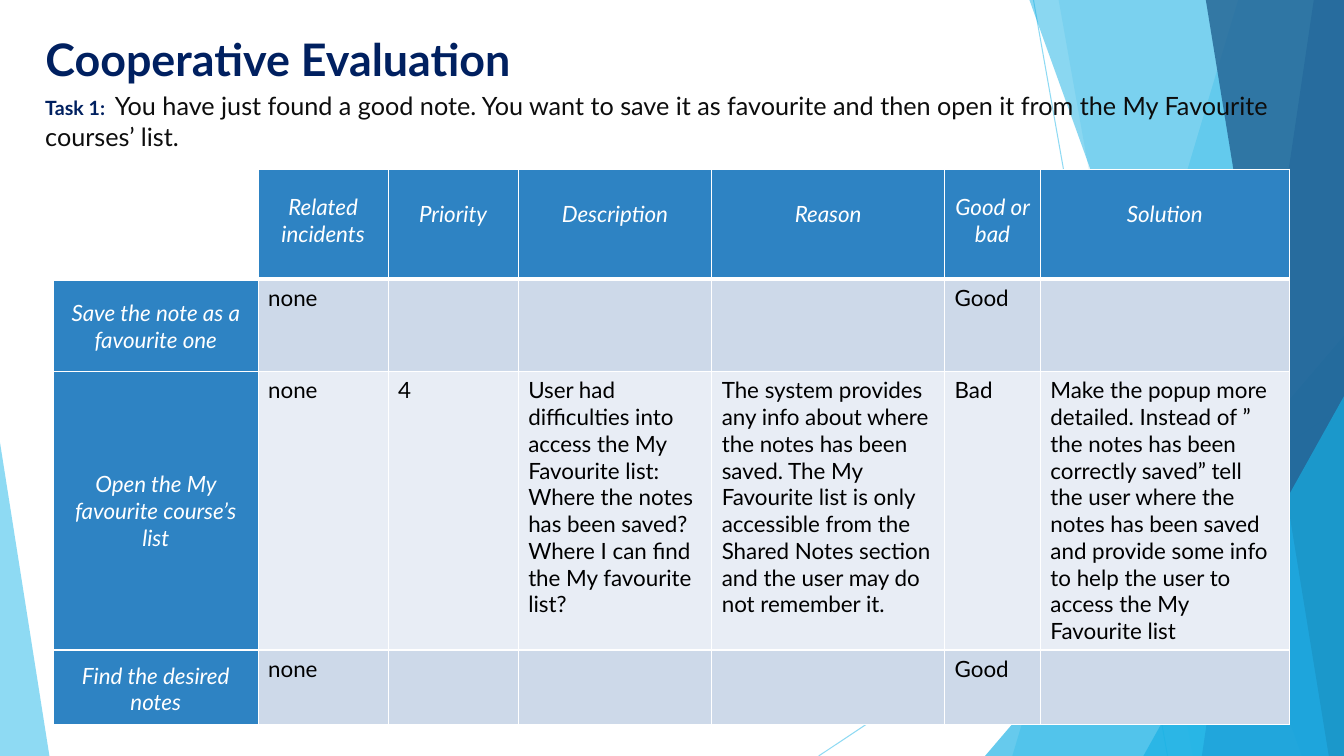
import pptx
import pptx.util
import pptx.dml.color
import pptx.enum.shapes
import pptx.enum.text
import pptx.oxml
import pptx.oxml.ns
from lxml import etree

Inches = pptx.util.Inches
Pt = pptx.util.Pt
RGBColor = pptx.dml.color.RGBColor
PP_ALIGN = pptx.enum.text.PP_ALIGN
qn = pptx.oxml.ns.qn

NAVY = RGBColor(0x00, 0x20, 0x60)
INK = RGBColor(0x0D, 0x0D, 0x0D)
BLACK = RGBColor(0x00, 0x00, 0x00)
WHITE = RGBColor(0xFF, 0xFF, 0xFF)
SKY = RGBColor(0x5F, 0xCB, 0xEF)
CYAN = RGBColor(0x17, 0xB0, 0xE4)
BLUE = RGBColor(0x2E, 0x83, 0xC3)
DEEP = RGBColor(0x22, 0x62, 0x92)
BAND_DARK = RGBColor(0xCD, 0xD9, 0xE9)
BAND_LIGHT = RGBColor(0xE8, 0xED, 0xF5)

FONT = "Lato"
WIDTH, HEIGHT = 13.33, 7.5

TITLE = "Cooperative Evaluation"
TASK = [
    ("Task 1:  ", {"size": Pt(14), "bold": True}, NAVY),
    ("You have just found a good note. You want to save it as favourite and then "
     "open it from the My Favourite courses’ list.", {"size": Pt(18), "bold": False}, INK),
]

ROWS = [
    ["", "Related incidents", "Priority", "Description", "Reason", "Good or bad", "Solution"],
    ["Save the note as a favourite one", "none", "", "", "", "Good", ""],
    ["Open the My favourite course’s list", "none", "4",
     "User had difficulties into access the My Favourite list: Where the notes has been "
     "saved? Where I can find the My favourite list?",
     "The system provides any info about where the notes has been saved. The My Favourite "
     "list is only accessible from the Shared Notes section and the user may do not remember it.",
     "Bad",
     "Make the popup more detailed. Instead of ” the notes has been correctly saved” tell "
     "the user where the notes has been saved and provide some info to help the user to "
     "access the My Favourite list"],
    ["Find the desired notes", "none", "", "", "", "Good", ""],
]
COL_WIDTHS = [2.03, 1.29, 1.29, 1.92, 2.31, 0.95, 2.47]
ROW_HEIGHTS = [1.09, 0.92, 2.76, 0.74]
HEADER_TOPS = [0.05, 0.24, 0.31, 0.31, 0.31, 0.24, 0.31]
LABEL_MARGINS = [(0.05, 0.05), (0.2, 0.05), (0.98, 0.05), (0.12, 0.08)]

RAYS = [((10.25, 0), (11.58, HEIGHT)), ((WIDTH, 4.03), (8.12, HEIGHT))]
FACETS = [
    ("band", (12.28, 10.04), SKY, 36),
    ("band", (10.5, 11.83), SKY, 20),
    ("triangle", (9.77, 3.33, 3.56, 4.17, 1), CYAN, 66),
    ("band", (10.21, 12.91), CYAN, 50),
    ("band", (13.03, 11.92), BLUE, 70),
    ("band", (11.96, 13.18), DEEP, 80),
    ("triangle", (11.34, 3.93, 1.99, 3.57, 1), CYAN, 66),
    ("triangle", (0, 4.39, 0.49, 3.11, 0), SKY, 70),
]


def set_alpha(shape, percent):
    color = shape._element.spPr.find(".//" + qn("a:srgbClr"))
    etree.SubElement(color, qn("a:alpha"), val=str(percent * 1000))


def add_ray(s, start, end):
    ray = s.shapes.add_connector(pptx.enum.shapes.MSO_CONNECTOR.STRAIGHT,
                                 *[Inches(v) for v in start + end])
    ray.line.color.rgb = SKY
    ray.line.width = Pt(0.75)
    set_alpha(ray, 70)
    etree.SubElement(ray._element.spPr, qn("a:effectLst"))


def add_facet(s, kind, geometry, color, alpha):
    if kind == "band":
        top, bottom = geometry
        builder = s.shapes.build_freeform(Inches(top), 0)
        corners = [(WIDTH, 0), (WIDTH, HEIGHT), (bottom, HEIGHT)]
        builder.add_line_segments([(Inches(x), Inches(y)) for x, y in corners])
        sp = builder.convert_to_shape()
    else:
        *box, apex = geometry
        sp = s.shapes.add_shape(pptx.enum.shapes.MSO_SHAPE.ISOSCELES_TRIANGLE,
                                *[Inches(v) for v in box])
        sp.adjustments[0] = apex
    sp.shadow.inherit = False
    sp.fill.solid()
    sp.fill.fore_color.rgb = color
    sp.line.fill.background()
    set_alpha(sp, alpha)


def add_run(p, text, formats, color):
    r = p.add_run()
    r.text = text
    for name, value in {"name": FONT, **formats}.items():
        setattr(r.font, name, value)
    r.font.color.rgb = color


def set_borders(cell, widths):
    tcPr = cell._tc.get_or_add_tcPr()
    for side, width in widths.items():
        ln = etree.SubElement(tcPr, qn("a:ln" + side), w=str(Pt(width)))
        fill = etree.SubElement(ln, qn("a:solidFill"))
        etree.SubElement(fill, qn("a:srgbClr"), val=str(WHITE))


def fill_cell(cell, text, row, col):
    set_borders(cell, {"L": 1, "R": 1, "T": 3 if row == 1 else 1, "B": 3 if row == 0 else 1})
    heading = row == 0 or col == 0
    if row == col == 0:
        cell.fill.background()
    else:
        cell.fill.solid()
        band = BAND_DARK if row % 2 else BAND_LIGHT
        cell.fill.fore_color.rgb = BLUE if heading else band
    if row == 0:
        top, bottom = HEADER_TOPS[col], 0.31
    else:
        top, bottom = LABEL_MARGINS[row] if col == 0 else (0.05, 0.05)
    cell.margin_top, cell.margin_bottom = Inches(top), Inches(bottom)
    if text:
        p = cell.text_frame.paragraphs[0]
        p.alignment = PP_ALIGN.CENTER if heading else PP_ALIGN.LEFT
        add_run(p, text, {"size": Pt(16), "bold": False, "italic": heading},
                WHITE if heading else BLACK)


def add_evaluation_table(s):
    table = s.shapes.add_table(len(ROWS), len(COL_WIDTHS), Inches(0.53), Inches(1.68),
                               Inches(sum(COL_WIDTHS)), Inches(sum(ROW_HEIGHTS))).table
    for column, width in zip(table.columns, COL_WIDTHS):
        column.width = Inches(width)
    for row, height in zip(table.rows, ROW_HEIGHTS):
        row.height = Inches(height)
    for i, texts in enumerate(ROWS):
        for j, text in enumerate(texts):
            fill_cell(table.cell(i, j), text, i, j)


def place_text(sp, box, runs):
    sp.left, sp.top, sp.width, sp.height = [Inches(v) for v in box]
    tf = sp.text_frame
    tf.word_wrap = True
    tf.auto_size = pptx.enum.text.MSO_AUTO_SIZE.NONE
    tf.vertical_anchor = pptx.enum.text.MSO_ANCHOR.TOP
    p = tf.paragraphs[0]
    p.alignment = PP_ALIGN.LEFT
    for text, formats, color in runs:
        add_run(p, text, formats, color)


def main():
    prs = pptx.Presentation()
    prs.slide_width, prs.slide_height = Inches(WIDTH), Inches(HEIGHT)
    s = prs.slides.add_slide(prs.slide_layouts[5])
    for start, end in RAYS:
        add_ray(s, start, end)
    for facet in FACETS:
        add_facet(s, *facet)
    place_text(s.shapes.title, (0.35, 0.26, 6.82, 0.64),
               [(TITLE, {"size": Pt(32), "bold": True}, NAVY)])
    place_text(s.shapes.add_textbox(0, 0, 0, 0), (0.35, 0.85, 12.45, 0.71), TASK)
    add_evaluation_table(s)
    prs.save("out.pptx")


if __name__ == "__main__":
    main()
